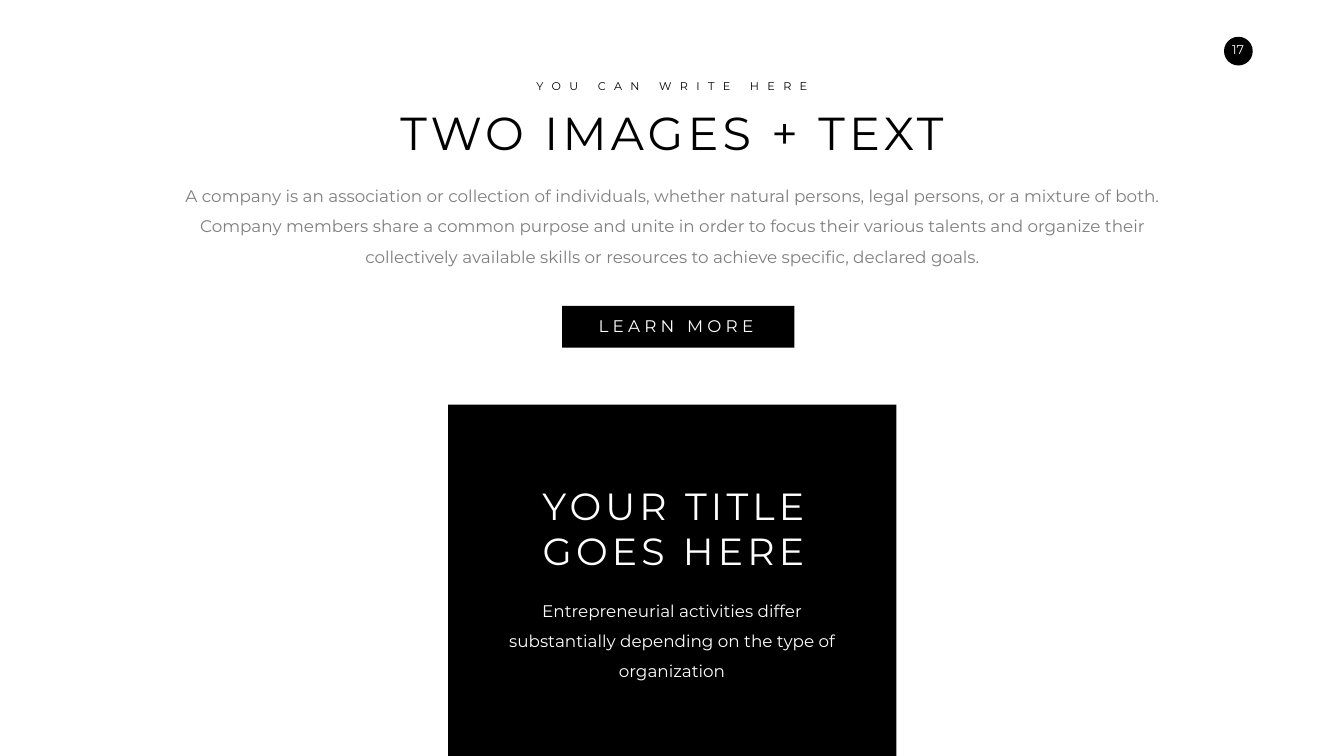
from pptx import Presentation
from pptx.dml.color import RGBColor
from pptx.enum.shapes import MSO_SHAPE
from pptx.enum.text import MSO_AUTO_SIZE, PP_ALIGN
from pptx.util import Inches, Pt

RECT, OVAL = MSO_SHAPE.RECTANGLE, MSO_SHAPE.OVAL
GROW, CENTER = MSO_AUTO_SIZE.SHAPE_TO_FIT_TEXT, PP_ALIGN.CENTER

THEME = {
    "font": "Montserrat",
    "black": "000000", "white": "FFFFFF", "grey": "7F7F7F",
    "title": 66, "head": 54, "body": 24, "page": 18, "small": 16,
}

SHAPES = [
    (OVAL, (24.28, 0.73, 0.57, 0.57)),
    (RECT, (8.89, 8.03, 8.89, 6.97)),
    (RECT, (11.15, 6.07, 4.61, 0.83)),
]

INTRO = (
    "A company is an association or collection of individuals, whether natural "
    "persons, legal persons, or a mixture of both. Company members share a common "
    "purpose and unite in order to focus their various talents and organize their "
    "collectively available skills or resources to achieve specific, declared goals."
)
CARD = (
    "Entrepreneurial activities differ substantially depending on the type of "
    "organization"
)

TEXTS = [
    dict(text="17", box=(24.13, 0.73, 0.86, 0.5), size="page", color="white",
         wrap=False, pad=(0.2, 0.1)),
    dict(text="TWO IMAGES + TEXT", box=(7.8, 2.02, 11.07, 1.21), size="title",
         color="black", track=6, wrap=False),
    dict(text="YOU CAN WRITE HERE", box=(10.44, 1.52, 5.78, 0.37), size="small",
         color="black", track=12, wrap=False),
    dict(text=INTRO, box=(3.58, 3.44, 19.51, 1.83), size="body", color="grey",
         lead=1.5),
    dict(text="LEARN MORE", box=(11.56, 6.21, 3.7, 0.42), size="body",
         color="white", track=6),
    dict(text="YOUR TITLE\nGOES HERE", box=(10.63, 9.53, 5.46, 1.92), size="head",
         color="white", track=6, wrap=False),
    dict(text=CARD, box=(9.78, 11.66, 7.1, 1.83), size="body", color="white",
         lead=1.5),
]


def add_block(slide, kind, box):
    shape = slide.shapes.add_shape(kind, *map(Inches, box))
    shape.shadow.inherit = False
    shape.fill.solid()
    shape.fill.fore_color.rgb = RGBColor.from_string(THEME["black"])
    shape.line.fill.background()


def add_text(slide, text, box, size, color, track=0, lead=None, wrap=True,
             pad=(0.1, 0.05)):
    frame = slide.shapes.add_textbox(*map(Inches, box)).text_frame
    frame.word_wrap = wrap
    frame.auto_size = GROW
    frame.margin_left = frame.margin_right = Inches(pad[0])
    frame.margin_top = frame.margin_bottom = Inches(pad[1])
    frame.text = text
    for para in frame.paragraphs:
        para.alignment = CENTER
        if lead:
            para.line_spacing = lead
        for run in para.runs:
            run.font.name = THEME["font"]
            run.font.size = Pt(THEME[size])
            run.font.color.rgb = RGBColor.from_string(THEME[color])
            if track:
                run.font._element.set("spc", str(track * 100))


def main():
    """Build the slide with its heading, button and title card."""
    deck = Presentation()
    deck.slide_width, deck.slide_height = Inches(26.66), Inches(15)
    slide = deck.slides.add_slide(deck.slide_layouts[6])
    for kind, box in SHAPES:
        add_block(slide, kind, box)
    for item in TEXTS:
        add_text(slide, **item)
    deck.save("out.pptx")


if __name__ == "__main__":
    main()
